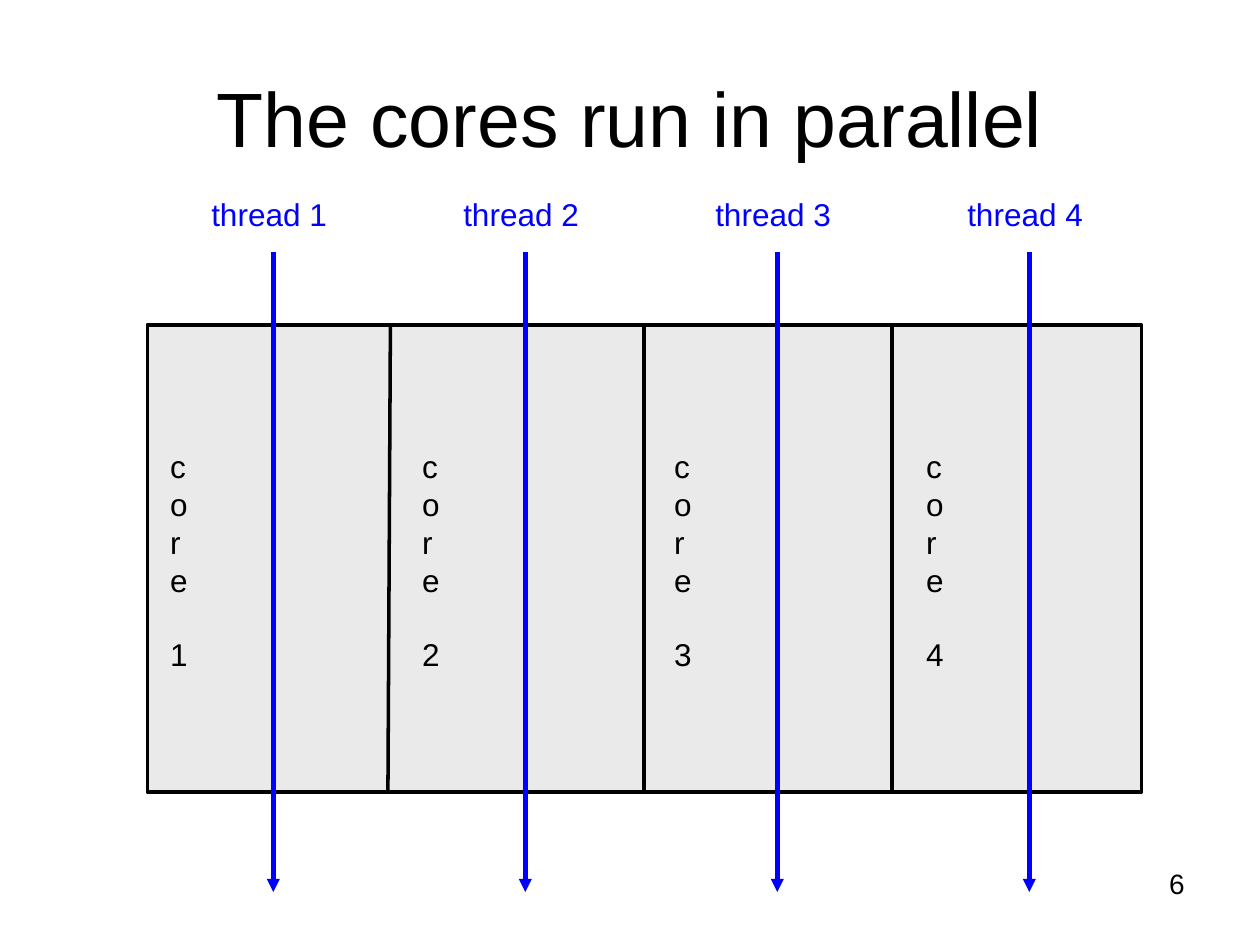
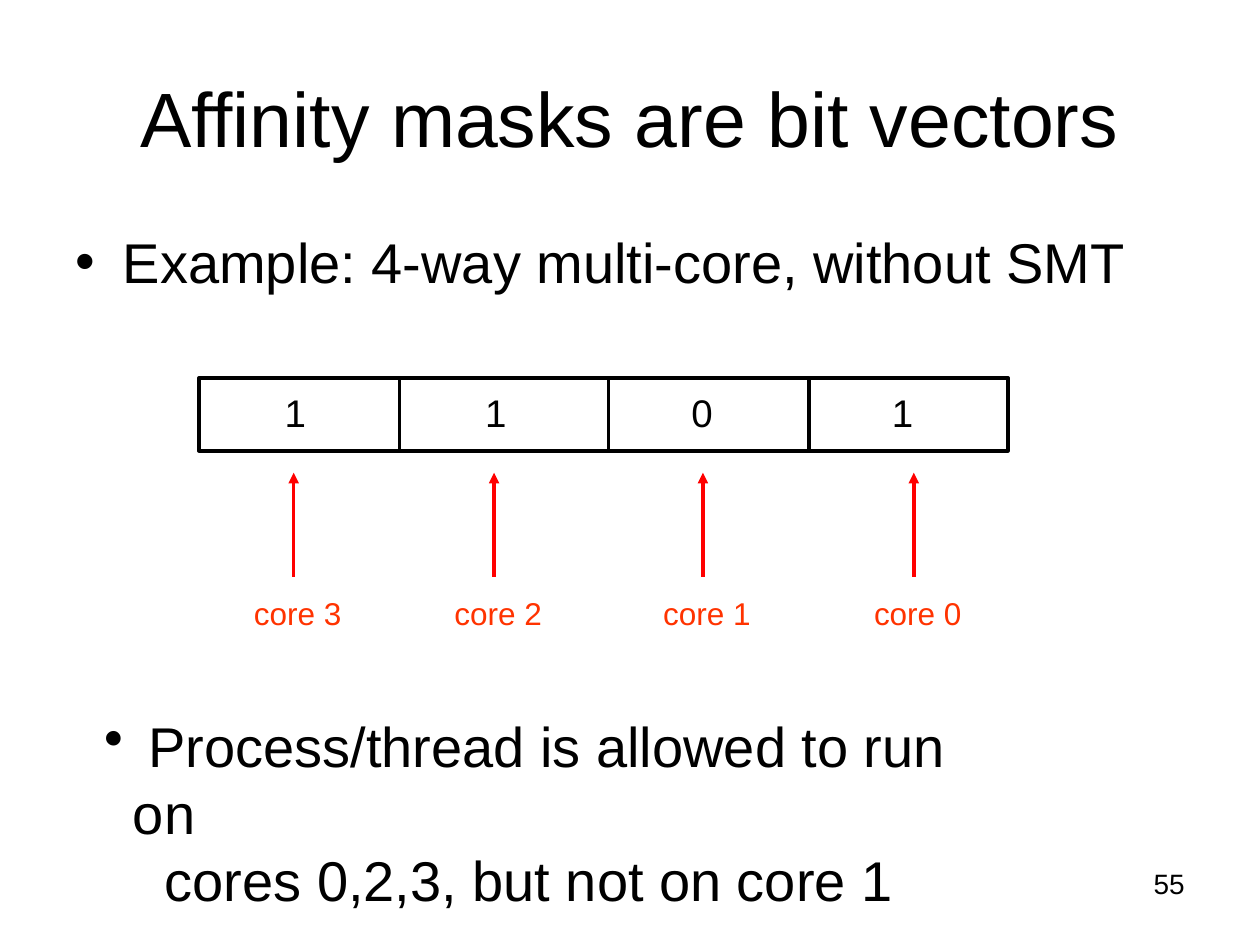
"""Build two slides on multi-core threads and affinity masks."""
import pptx
import pptx.dml.color
import pptx.enum.shapes
import pptx.enum.text
import pptx.oxml
import pptx.oxml.ns
import pptx.util

Cm, Pt = pptx.util.Cm, pptx.util.Pt
ALIGN = pptx.enum.text.PP_ALIGN
FONT = "Arial"
BLACK, GREY, BLUE, RED, ORANGE = "000000", "EAEAEA", "0000FF", "FF0000", "FF3300"

PARALLEL = {"title": "The cores run in parallel", "number": "6"}
CORES = ["1", "2", "3", "4"]
CORE_FRAME = (2.97, 6.55, 20.04, 9.42)
CORE_DIVIDERS = [(7.87, 7.82), (12.98, 12.98), (17.98, 17.98)]
THREAD_LEFT, THREAD_PITCH = 5.51, 5.08

AFFINITY = {"title": "Affinity masks are bit vectors", "number": "55"}
EXAMPLE = "Example: 4-way multi-core, without SMT"
MASK_FRAME = (4.01, 7.62, 16.31, 1.47)
MASK_DIVIDERS = [(8.05, 8.05), (12.27, 12.27), (16.31, 16.31)]
MASK_BITS = [("1", 5.49, "core 3", 5.92), ("1", 9.53, "core 2", 9.96),
             ("0", 13.69, "core 1", 14.17), ("1", 17.73, "core 0", 18.42)]
CONCLUSION = [" Process/thread is allowed to run on", "cores 0,2,3, but not on core 1"]


def rgb(value):
    """Turn a hex string into a colour."""
    return pptx.dml.color.RGBColor.from_string(value)


def style(frame, size, colour=BLACK):
    """Give every run of a text frame one font."""
    for para in frame.paragraphs:
        for span in para.runs:
            span.font.name, span.font.size = FONT, Pt(size)
            span.font.color.rgb = rgb(colour)


def add_text(page, place, text, size, colour=BLACK, wrap=False):
    """Add a text box, one paragraph for each line of text."""
    frame = page.shapes.add_textbox(*map(Cm, place)).text_frame
    frame.word_wrap = wrap
    frame.text = text
    style(frame, size, colour)
    return frame


def fill_placeholder(box, place, text, size):
    """Move a placeholder and set its text."""
    box.left, box.top, box.width, box.height = map(Cm, place)
    box.text_frame.text = text
    box.text_frame.auto_size = pptx.enum.text.MSO_AUTO_SIZE.NONE
    style(box.text_frame, size)


def add_line(page, start, end, colour=BLACK, width=2, arrow=False):
    """Add a straight line, with an arrowhead at its end if asked."""
    line = page.shapes.add_connector(pptx.enum.shapes.MSO_CONNECTOR.STRAIGHT,
                                     *map(Cm, start + end))
    line.line.color.rgb = rgb(colour)
    line.line.width = Pt(width)
    if arrow:
        outline = line.line._get_or_add_ln()
        outline.append(pptx.oxml.parse_xml(
            f'<a:tailEnd {pptx.oxml.ns.nsdecls("a")} type="triangle"/>'))
    line._element.spPr.append(pptx.oxml.parse_xml(
        f'<a:effectLst {pptx.oxml.ns.nsdecls("a")}/>'))


def add_cells(page, place, dividers, fill=None):
    """Draw a frame split into cells by upright lines."""
    box = page.shapes.add_shape(pptx.enum.shapes.MSO_SHAPE.RECTANGLE, *map(Cm, place))
    box.shadow.inherit = False
    if fill:
        box.fill.solid()
        box.fill.fore_color.rgb = rgb(fill)
    else:
        box.fill.background()
    box.line.color.rgb = rgb(BLACK)
    box.line.width = Pt(2)
    top, bottom = place[1], place[1] + place[3]
    for upper, lower in dividers:
        add_line(page, (upper, top), (lower, bottom))


def add_page(deck, layout, content):
    """Add a slide with its title and number."""
    page = deck.slides.add_slide(deck.slide_layouts[layout])
    fill_placeholder(page.shapes.title, (1.27, 0.76, 22.86, 3.18), content["title"], 44)
    number = add_text(page, (18.21, 17.35, 5.92, 1.32), content["number"], 16, wrap=True)
    number.paragraphs[0].alignment = ALIGN.RIGHT
    return page


def add_parallel(deck):
    """Show four threads running through four cores."""
    page = add_page(deck, 5, PARALLEL)
    add_cells(page, CORE_FRAME, CORE_DIVIDERS, GREY)
    for index, core in enumerate(CORES):
        left = THREAD_LEFT + index * THREAD_PITCH
        name = add_text(page, (left - 2.33, 8.89, 0.91, 4.83), f"core\n{core}", 18, wrap=True)
        name.paragraphs[1].space_before = Pt(21)
        add_line(page, (left, 5.08), (left, 17.98), BLUE, 2.5, True)
        add_text(page, (left - 1.5, 3.81, 2.84, 1.02), f"thread {core}", 18, BLUE)


def add_affinity(deck):
    """Show an affinity mask with one bit for each core."""
    page = add_page(deck, 1, AFFINITY)
    fill_placeholder(page.placeholders[1], (1.27, 4.45, 22.86, 12.57), EXAMPLE, 32)
    add_cells(page, MASK_FRAME, MASK_DIVIDERS)
    for bit, bit_left, core, arrow_left in MASK_BITS:
        add_text(page, (bit_left, 7.72, 0.94, 1.19), bit, 22)
        add_line(page, (arrow_left, 11.63), (arrow_left, 9.53), RED, 2, True)
        add_text(page, (arrow_left - 1.05, 11.86, 2.29, 1.02), core, 18, ORANGE)
    frame = add_text(page, (1.85, 14.22, 18.85, 2.97), "\n".join(CONCLUSION), 32, wrap=True)
    first, second = (para._p.get_or_add_pPr() for para in frame.paragraphs)
    first.set("marL", str(Cm(0.58)))
    first.set("indent", str(-Cm(0.58)))
    first.append(pptx.oxml.parse_xml(
        f'<a:buChar {pptx.oxml.ns.nsdecls("a")} char="•"/>'))
    second.set("marL", str(Cm(1.22)))


def main():
    """Build and save the deck."""
    deck = pptx.Presentation()
    deck.slide_width, deck.slide_height = Cm(25.4), Cm(19.05)
    add_parallel(deck)
    add_affinity(deck)
    deck.save("out.pptx")


main()
